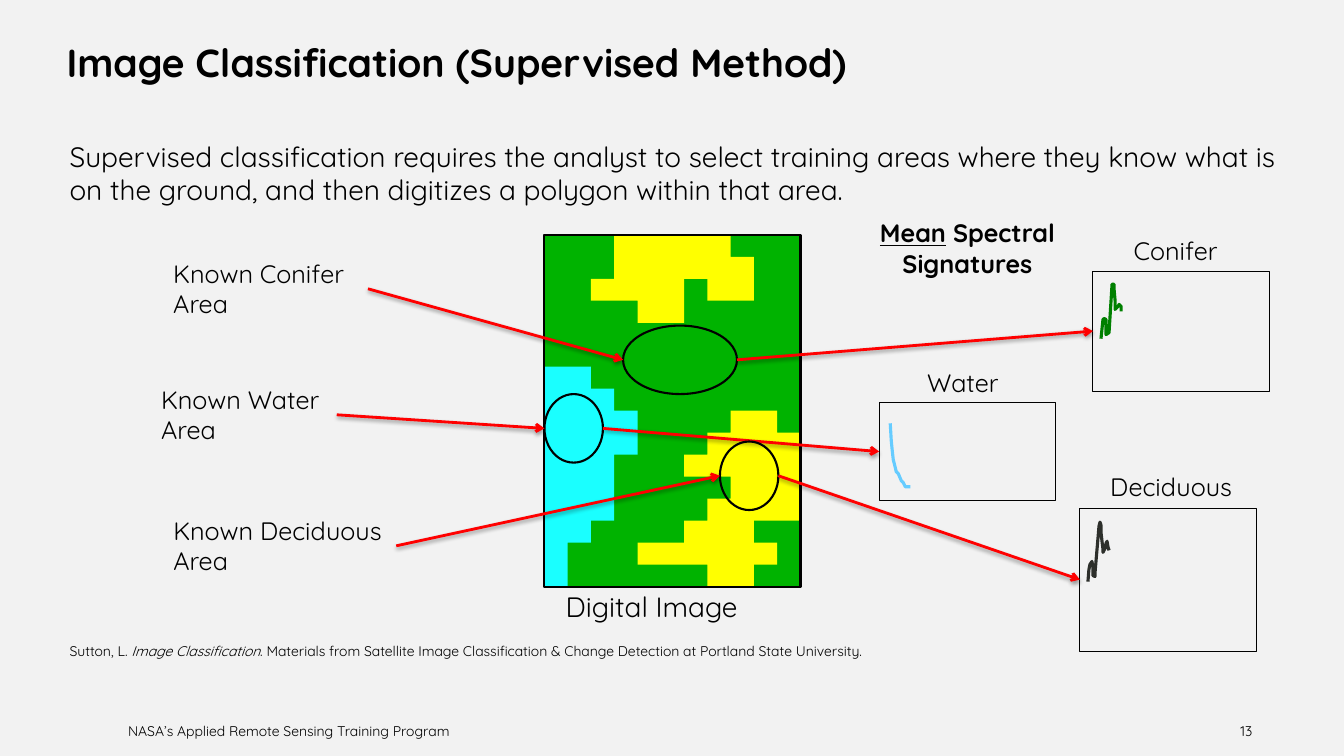
from lxml import etree
from pptx import Presentation
from pptx import util as u
from pptx.dml.color import RGBColor
from pptx.enum import shapes, text
from pptx.oxml.ns import qn

COLORS = {"paper": "F2F2F2", "ink": "000000", "forest": "00B300", "lake": "1AFFFF",
          "leaves": "FFFF00", "arrow": "FF0000", "conifer": "008000",
          "water": "66CCFF", "deciduous": "2D2F2B"}
FONT = "Quicksand"
SLIDE = (13.33, 7.5)
IMAGE_BOX = (5.4, 2.33, 2.54, 3.49)
IMAGE_GRID = (11, 16)
CURVE_STEP = 0.01
LABEL_INSETS = (0.1, 0.05, 0.1, 0.05)
MASTER_INSETS = (0.13, 0.07, 0.13, 0.07)
BODY_INSETS = (0, 0.07, 0.13, 0.07)

LAND_COVER = [
    ("lake", [(0, 6), (2, 6), (2, 7), (3, 7), (3, 8), (4, 8), (4, 10), (3, 10),
              (3, 13), (2, 13), (2, 14), (1, 14), (1, 16), (0, 16)]),
    ("leaves", [(3, 0), (3, 2), (2, 2), (2, 3), (4, 3), (4, 4), (6, 4), (6, 2),
                (7, 2), (7, 3), (9, 3), (9, 1), (8, 1), (8, 0)]),
    ("leaves", [(11, 9), (10, 9), (10, 8), (8, 8), (8, 9), (7, 9), (7, 10), (6, 10),
                (6, 11), (8, 11), (8, 12), (7, 12), (7, 13), (6, 13), (6, 14), (4, 14),
                (4, 15), (7, 15), (7, 16), (9, 16), (9, 15), (10, 15), (10, 14),
                (9, 14), (9, 13), (11, 13)]),
]

CLASSES = [
    {"name": "Conifer", "area": (6.18, 3.23, 1.13, 0.68), "label": (1.62, 2.51, 2.03, 0.71),
     "heading": (11.08, 2.29, 1.26, 0.4), "plot": (10.84, 2.69, 1.75, 1.19),
     "curve": [(8, 67), (10, 48), (11, 47), (13, 48), (13, 57), (13, 63), (16, 61), (19, 13),
               (21, 13), (21, 18), (22, 29), (22, 38), (25, 35), (26, 33), (28, 35), (28, 40)]},
    {"name": "Water", "area": (5.4, 3.91, 0.58, 0.68), "label": (1.5, 3.76, 1.84, 0.71),
     "heading": (8.97, 3.59, 1.26, 0.4), "plot": (8.72, 3.99, 1.75, 0.98),
     "curve": [(11, 21), (12, 38), (13, 48), (14, 57), (16, 65), (17, 69), (18, 70),
               (19, 71), (22, 78), (24, 80), (26, 84), (27, 84), (29, 84), (31, 84)]},
    {"name": "Deciduous", "area": (7.14, 4.38, 0.58, 0.68), "label": (1.62, 5.06, 2.31, 0.71),
     "heading": (10.88, 4.63, 1.57, 0.4), "plot": (10.71, 5.04, 1.75, 1.42),
     "curve": [(8, 73), (9, 61), (10, 56), (12, 53), (13, 58), (13, 62), (13, 67), (15, 68),
               (15, 65), (19, 18), (20, 14), (21, 17), (21, 24), (22, 33), (23, 41), (23, 44),
               (25, 40), (26, 35), (27, 33), (28, 39), (29, 42)]},
]


def rgb(name):
    return RGBColor.from_string(COLORS[name])


def emu(lengths):
    return [u.Inches(length) for length in lengths]


def paint(shape, fill=None, line=None, width=1.0):
    shape.shadow.inherit = False
    if fill:
        shape.fill.solid()
        shape.fill.fore_color.rgb = rgb(fill)
    else:
        shape.fill.background()
    if line:
        shape.line.color.rgb = rgb(line)
        shape.line.width = u.Pt(width)
    else:
        shape.line.fill.background()
    return shape


def add_preset(slide, kind, box, **style):
    return paint(slide.shapes.add_shape(kind, *emu(box)), **style)


def add_outline(slide, box, step, points, close, **style):
    places = [emu((box[0] + x * step[0], box[1] + y * step[1])) for x, y in points]
    builder = slide.shapes.build_freeform(*places[0])
    builder.add_line_segments(places[1:], close=close)
    return paint(builder.convert_to_shape(), **style)


def add_words(slide, box, runs, size, insets=LABEL_INSETS, align=text.PP_ALIGN.LEFT,
              anchor=text.MSO_ANCHOR.TOP, wrap=True, bold=False, indent=0):
    words = slide.shapes.add_textbox(*emu(box))
    frame = words.text_frame
    frame.word_wrap = wrap
    frame.vertical_anchor = anchor
    (frame.margin_left, frame.margin_top,
     frame.margin_right, frame.margin_bottom) = emu(insets)
    paragraph = frame.paragraphs[0]
    paragraph.alignment = align
    if indent:
        properties = paragraph._p.get_or_add_pPr()
        properties.set("marL", str(u.Inches(indent)))
        properties.set("indent", "0")
    paragraph.font.name = FONT
    paragraph.font.size = u.Pt(size)
    paragraph.font.bold = bold
    paragraph.font.color.rgb = rgb("ink")
    for words_in_run, emphasis in runs:
        run = paragraph.add_run()
        run.text = words_in_run
        if emphasis == "italic":
            run.font.italic = True
        elif emphasis == "underline":
            run.font.underline = True
    return words


def add_arrow(slide, start, end, source=None, target=None):
    arrow = slide.shapes.add_connector(shapes.MSO_CONNECTOR.STRAIGHT, *emu(start + end))
    if source is not None:
        arrow.begin_connect(source, 3)
    if target is not None:
        arrow.end_connect(target, 1)
    arrow.line.color.rgb = rgb("arrow")
    arrow.line.width = u.Pt(2)
    etree.SubElement(arrow.line._get_or_add_ln(), qn("a:tailEnd"), type="arrow")
    effects = etree.SubElement(arrow._element.spPr, qn("a:effectLst"))
    shadow = etree.SubElement(effects, qn("a:outerShdw"), blurRad=str(u.Pt(3.1)),
                              dist=str(u.Pt(1.6)), dir="5400000", rotWithShape="0")
    shade = etree.SubElement(shadow, qn("a:srgbClr"), val=COLORS["ink"])
    etree.SubElement(shade, qn("a:alpha"), val="38000")


def left_middle(box):
    return box[0], box[1] + box[3] / 2


def right_middle(box):
    return box[0] + box[2], box[1] + box[3] / 2


def add_digital_image(slide, box):
    rectangle = shapes.MSO_SHAPE.RECTANGLE
    add_preset(slide, rectangle, box, fill="forest")
    cell = (box[2] / IMAGE_GRID[0], box[3] / IMAGE_GRID[1])
    for cover, corners in LAND_COVER:
        add_outline(slide, box, cell, corners, True, fill=cover)
    add_preset(slide, rectangle, box, line="ink", width=1.5)
    caption = (box[0] + 0.21, box[1] + box[3] + 0.03, 1.82, 0.34)
    add_words(slide, caption, [("Digital Image", None)], 20, insets=(0, 0, 0, 0), wrap=False)


def add_signature(slide, box, heading, name, curve):
    add_outline(slide, box, (CURVE_STEP, CURVE_STEP), curve, False,
                line=name.lower(), width=2.25)
    add_words(slide, heading, [(name, None)], 18, insets=(0, 0.05, 0.1, 0.05),
              align=text.PP_ALIGN.CENTER)
    return add_preset(slide, shapes.MSO_SHAPE.RECTANGLE, box, line="ink", width=0.75)


def add_training_class(slide, name, area, label, heading, plot, curve):
    add_preset(slide, shapes.MSO_SHAPE.OVAL, area, line="ink", width=1.5)
    known_area = add_words(slide, label, [(f"Known {name} Area", None)], 18)
    signature = add_signature(slide, plot, heading, name, curve)
    add_arrow(slide, right_middle(label), left_middle(area), source=known_area)
    add_arrow(slide, right_middle(area), left_middle(plot), target=signature)


def add_texts(slide, left, width):
    add_words(slide, (left, 0.3, width, 0.63),
              [("Image Classification (Supervised Method)", None)], 28,
              insets=MASTER_INSETS, anchor=text.MSO_ANCHOR.MIDDLE, bold=True)
    add_words(slide, (left, 1.31, width, 0.94),
              [("Supervised classification requires the analyst to select training areas where "
                "they know what is on the ground, and then digitizes a polygon within that area.",
                None)], 20, insets=BODY_INSETS, indent=0.16)
    add_words(slide, (left, 6.13, width, 0.48),
              [("Sutton, L.\u00a0", None), ("Image Classification", "italic"),
               (". Materials from Satellite Image Classification & Change Detection at "
                "Portland State University.", None)], 10,
              insets=BODY_INSETS, anchor=text.MSO_ANCHOR.BOTTOM, indent=0.16)
    add_words(slide, (8.52, 2.11, 2.15, 0.71),
              [("Mean", "underline"), (" Spectral Signatures", None)], 18,
              align=text.PP_ALIGN.CENTER, bold=True)


def add_footer(slide, top):
    add_words(slide, (1.14, top, 4.29, 0.3),
              [("NASA’s Applied Remote Sensing Training Program", None)], 10,
              insets=MASTER_INSETS)
    add_words(slide, (11.79, top, 0.76, 0.3), [("13", None)], 10,
              insets=MASTER_INSETS, align=text.PP_ALIGN.RIGHT)


def main():
    deck = Presentation()
    deck.slide_width, deck.slide_height = emu(SLIDE)
    slide = deck.slides.add_slide(deck.slide_layouts[6])
    slide.background.fill.solid()
    slide.background.fill.fore_color.rgb = rgb("paper")
    add_footer(slide, 7.1)
    add_texts(slide, 0.53, 12.28)
    add_digital_image(slide, IMAGE_BOX)
    for training_class in CLASSES:
        add_training_class(slide, **training_class)
    deck.save("out.pptx")


if __name__ == "__main__":
    main()
